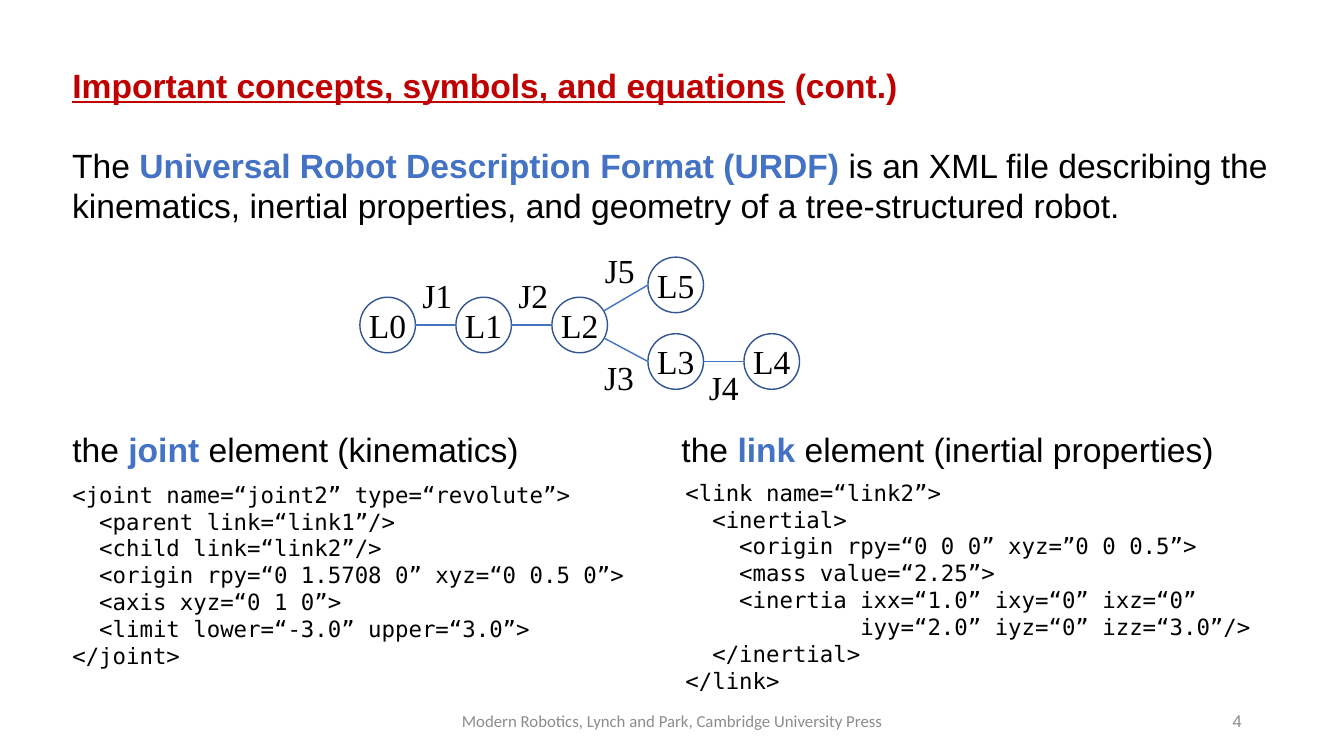
from math import hypot

from lxml import etree
from pptx import Presentation
from pptx.dml.color import RGBColor
from pptx.enum.shapes import MSO_CONNECTOR, MSO_SHAPE
from pptx.enum.text import MSO_ANCHOR, MSO_AUTO_SIZE, PP_ALIGN
from pptx.oxml.ns import qn
from pptx.util import Cm, Pt

LEFT, CENTER, RIGHT = PP_ALIGN.LEFT, PP_ALIGN.CENTER, PP_ALIGN.RIGHT
TOP, MIDDLE = MSO_ANCHOR.TOP, MSO_ANCHOR.MIDDLE

COLORS = {"title": "C00000", "term": "4472C4", "text": "000000", "footer": "8C8C8C",
          "node_line": "325491", "node_fill": "FFFFFF"}
SANS, SERIF, MONO, FOOTER_FONT = "Arial", "Times New Roman", "DejaVu Sans Mono", "Calibri"

TITLE = [("Important concepts, symbols, and equations", {"underline": True}), (" (cont.)", {})]
TERM = {"bold": True, "color": "term"}
INTRO = [
    ("The ", {}),
    ("Universal Robot Description Format (URDF) ", TERM),
    ("is an XML file describing the kinematics, inertial properties, "
     "and geometry of a tree-structured robot.", {}),
]
JOINT_CAPTION = [("the ", {}), ("joint", TERM), (" element (kinematics)", {})]
LINK_CAPTION = [("the ", {}), ("link", TERM), (" element (inertial properties)", {})]
JOINT_CODE = [
    "<joint name=“joint2” type=“revolute”>",
    "  <parent link=“link1”/>",
    "  <child link=“link2”/>",
    "  <origin rpy=“0 1.5708 0” xyz=“0 0.5 0”>",
    "  <axis xyz=“0 1 0”>",
    "  <limit lower=“-3.0” upper=“3.0”>",
    "</joint>",
]
LINK_CODE = [
    "<link name=“link2”>",
    "  <inertial>",
    "    <origin rpy=“0 0 0” xyz=”0 0 0.5”>",
    "    <mass value=“2.25”>",
    "    <inertia ixx=“1.0” ixy=“0” ixz=“0”",
    "             iyy=“2.0” iyz=“0” izz=“3.0”/>",
    "  </inertial>",
    "</link>",
]
FOOTER = "Modern Robotics, Lynch and Park, Cambridge University Press"
PAGE = "4"

ROW_Y = {"upper": 7.18, "middle": 8.19, "lower": 9.11}
LINKS = {"L0": (0, "middle"), "L1": (1, "middle"), "L2": (2, "middle"),
         "L5": (3, "upper"), "L3": (3, "lower"), "L4": (4, "lower")}
JOINTS = {
    "J1": ("L0", "L1", (11.02, 7.44)),
    "J2": ("L1", "L2", (13.44, 7.44)),
    "J3": ("L2", "L3", (15.6, 9.5)),
    "J4": ("L3", "L4", (18.24, 9.75)),
    "J5": ("L2", "L5", (15.62, 6.81)),
}
FIRST_X, PITCH, RADIUS, LABEL = 9.77, 2.42, 0.7, 1.27


def rgb(name):
    return RGBColor.from_string(COLORS[name])


def write(shape, paragraphs, font=SANS, size=24, color="text", bold=False,
          align=LEFT, anchor=TOP, wrap=True, inset=None):
    frame = shape.text_frame
    frame.auto_size = MSO_AUTO_SIZE.NONE
    frame.word_wrap = wrap
    frame.vertical_anchor = anchor
    if inset is not None:
        frame.margin_left = frame.margin_right = Cm(inset)
        frame.margin_top = frame.margin_bottom = Cm(inset)
    for index, runs in enumerate(paragraphs):
        paragraph = frame.add_paragraph() if index else frame.paragraphs[0]
        properties = paragraph._p.get_or_add_pPr()
        properties.set("marL", "0")
        properties.set("indent", "0")
        etree.SubElement(properties, qn("a:buNone"))
        paragraph.alignment = align
        paragraph.space_before = Pt(0)
        for text, style in [(runs, {})] if isinstance(runs, str) else runs:
            run = paragraph.add_run()
            run.text = text
            run.font.name = font
            run.font.size = Pt(size)
            run.font.bold = style.get("bold", bold)
            run.font.underline = style.get("underline", False)
            run.font.color.rgb = rgb(style.get("color", color))


def place(shape, left, top, width, height):
    shape.left, shape.top, shape.width, shape.height = Cm(left), Cm(top), Cm(width), Cm(height)
    return shape


def main():
    deck = Presentation()
    deck.slide_width, deck.slide_height = Cm(33.87), Cm(19.05)
    slide = deck.slides.add_slide(deck.slide_layouts.get_by_name("Comparison"))
    shapes = slide.shapes
    joint_caption, joint_code, link_caption, link_code = list(slide.placeholders)[1:]

    def text_box(left, top, width, height):
        return shapes.add_textbox(Cm(left), Cm(top), Cm(width), Cm(height))

    write(place(shapes.title, 1.57, 1.5, 31.22, 1.27), [TITLE], color="title", bold=True)
    write(text_box(1.57, 3.53, 31.22, 2.4), [INTRO])
    write(place(joint_caption, 1.57, 10.68, 14.6, 1.27), [JOINT_CAPTION])
    write(place(link_caption, 16.92, 10.68, 15.6, 1.27), [LINK_CAPTION])
    write(place(joint_code, 1.57, 11.99, 14.58, 5.05), JOINT_CODE, font=MONO, size=16, wrap=False)
    write(place(link_code, 17.02, 11.94, 14.91, 5.74), LINK_CODE, font=MONO, size=16, wrap=False)
    write(text_box(11.23, 17.65, 11.43, 1.02), [FOOTER], font=FOOTER_FONT, size=12,
          color="footer", align=CENTER, anchor=MIDDLE)
    write(text_box(23.93, 17.65, 7.62, 1.02), [PAGE], size=12,
          color="footer", align=RIGHT, anchor=MIDDLE)

    centers = {link: (FIRST_X + column * PITCH, ROW_Y[row])
               for link, (column, row) in LINKS.items()}
    for link, (x, y) in centers.items():
        node = shapes.add_shape(MSO_SHAPE.OVAL, Cm(x - RADIUS), Cm(y - RADIUS),
                                Cm(2 * RADIUS), Cm(2 * RADIUS))
        node.shadow.inherit = False
        node.fill.solid()
        node.fill.fore_color.rgb = rgb("node_fill")
        node.line.color.rgb = rgb("node_line")
        node.line.width = Pt(1)
        write(node, [link], font=SERIF, align=CENTER, anchor=MIDDLE, wrap=False, inset=0)

    for joint, (parent, child, (label_x, label_y)) in JOINTS.items():
        x, y = centers[parent]
        end_x, end_y = centers[child][0] - RADIUS, centers[child][1]
        reach = RADIUS / hypot(end_x - x, end_y - y)
        edge = shapes.add_connector(MSO_CONNECTOR.STRAIGHT,
                                    Cm(x + reach * (end_x - x)), Cm(y + reach * (end_y - y)),
                                    Cm(end_x), Cm(end_y))
        edge.line.color.rgb = rgb("term")
        edge.line.width = Pt(1)
        etree.SubElement(edge._element.spPr, qn("a:effectLst"))
        write(text_box(label_x - LABEL / 2, label_y - LABEL / 2, LABEL, LABEL), [joint],
              font=SERIF, align=CENTER, anchor=MIDDLE, wrap=False, inset=0)

    deck.save("out.pptx")


if __name__ == "__main__":
    main()
